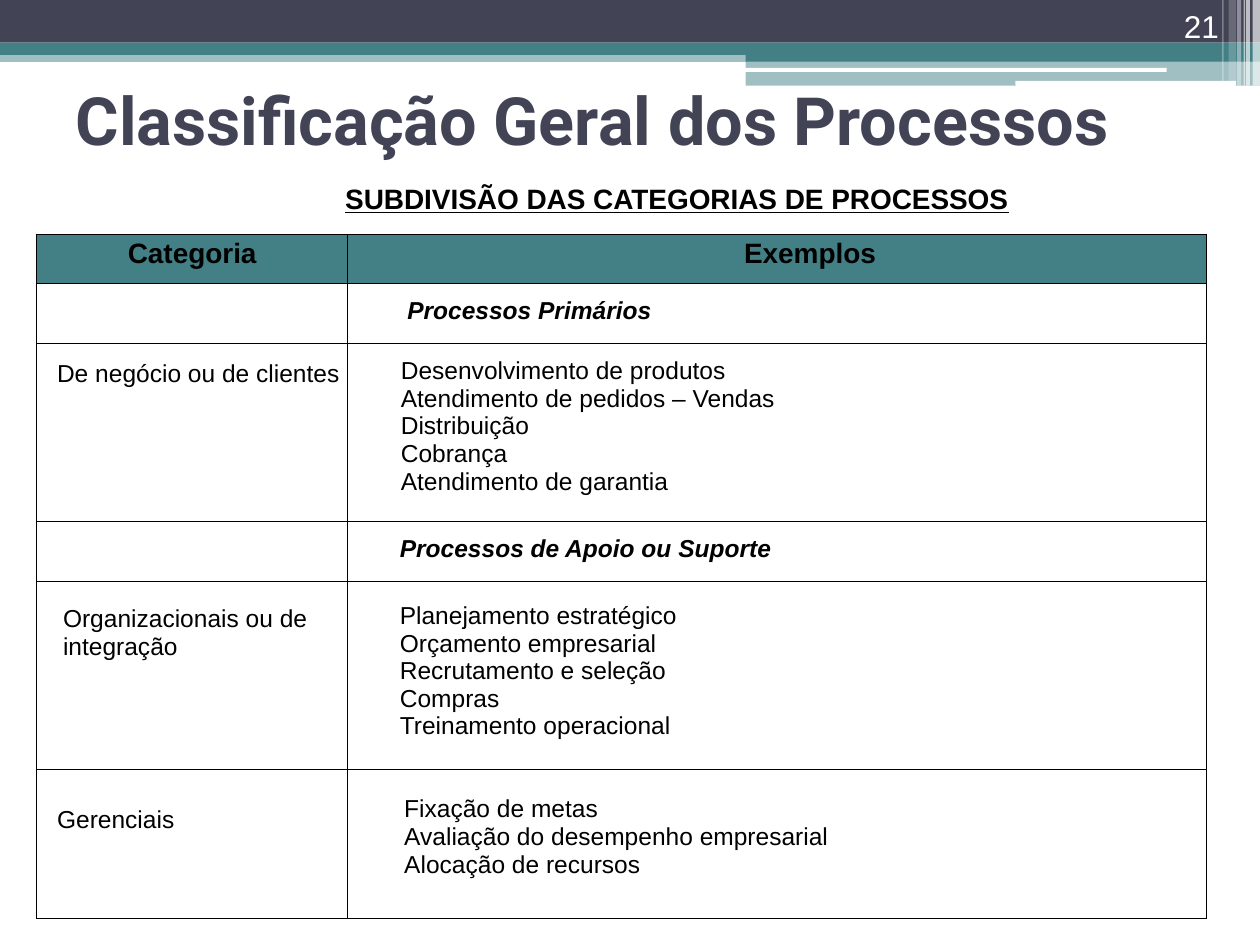
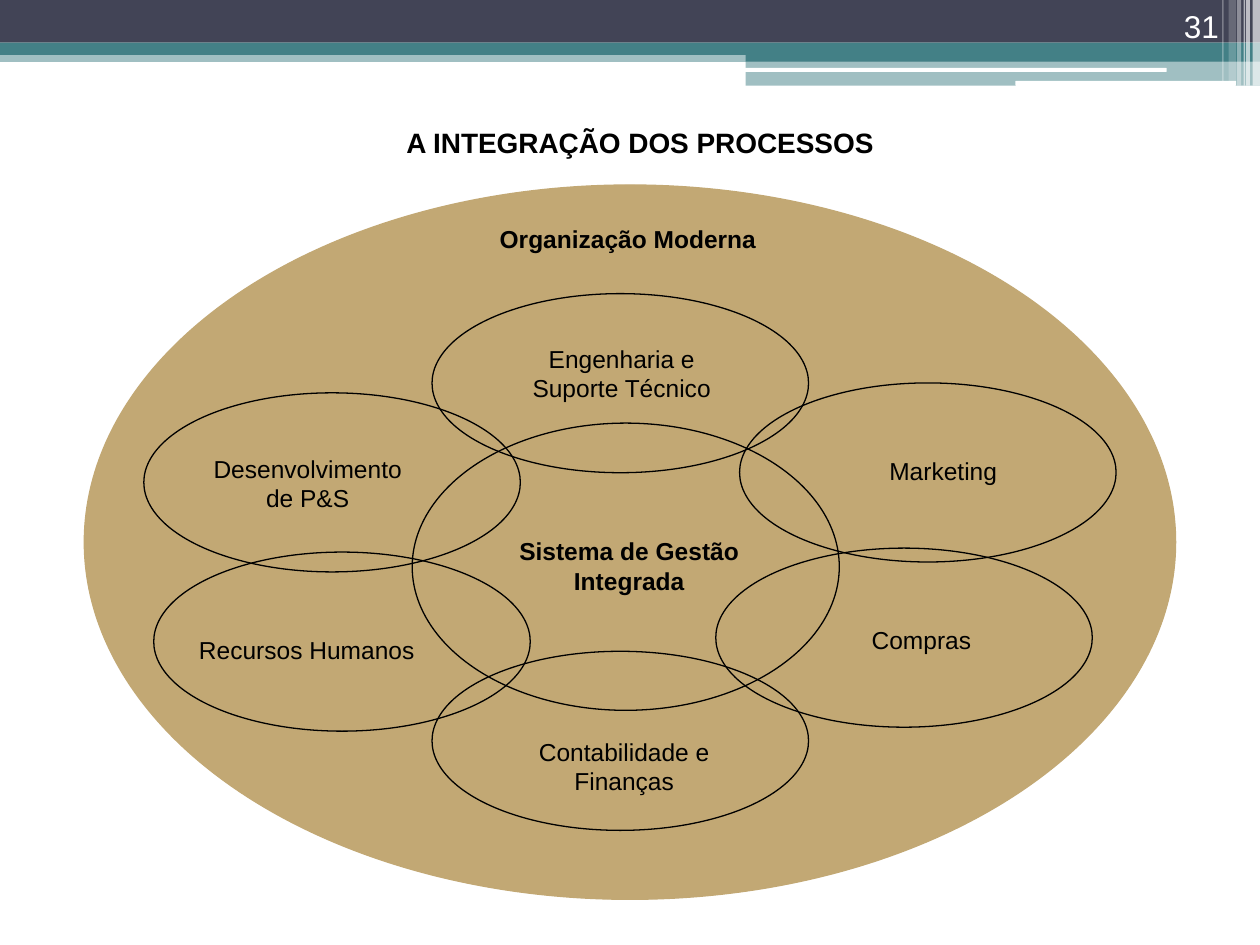
from dataclasses import dataclass

from lxml.etree import SubElement
from pptx import Presentation
from pptx.dml.color import RGBColor as RGB
from pptx.enum.shapes import MSO_SHAPE as Kind
from pptx.enum.text import MSO_ANCHOR as Anchor, MSO_AUTO_SIZE as Fit, PP_ALIGN as Align
from pptx.oxml.ns import qn
from pptx.util import Cm, Pt


@dataclass(frozen=True)
class Theme:
    dark: str = "424456"
    teal: str = "438086"
    tan: str = "C2A874"
    white: str = "FFFFFF"
    black: str = "000000"
    font: str = "Arial"
    head: str = "Roboto"
    title: int = 38
    page: int = 18
    sub: int = 16
    text: int = 14
    line: float = 0.75


T = Theme()

# Top bands: left, top, width, height, colour, opacity in percent
BANDS = [
    (0, 1.02, 25.4, 0.23, T.teal, 50),
    (0, 0, 25.4, 0.86, T.dark, 100),
    (0, 0.86, 25.4, 0.25, T.teal, 100),
    (15.03, 0.99, 10.37, 0.25, T.teal, 100),
    (15.03, 1.23, 10.37, 0.5, T.teal, 50),
]
BARS = [(15.01, 1.37, 8.51, 0.08), (20.47, 1.63, 4.45, 0.1)]

# Right stripes: left, width, height, opacity in percent
STRIPES = [
    (25.25, 0.15, 1.73, 65),
    (25.12, 0.08, 1.73, 65),
    (25.07, 0.03, 1.73, 60),
    (24.94, 0.08, 1.73, 40),
    (24.77, 0.15, 1.63, 20),
    (24.64, 0.03, 1.63, 30),
]

# Table rows: height, then (text, left margin, top margin) for each column
ROWS = [
    (0.99, ("Categoria", 0, 0.08), ("Exemplos", 1.32, 0.08)),
    (1.22, ("", 0.41, 0.28), ("Processos Primários", 1.2, 0.28)),
    (3.58, ("De negócio ou de clientes", 0.41, 0.33),
     ("Desenvolvimento de produtos\nAtendimento de pedidos – Vendas\n"
      "Distribuição\nCobrança\nAtendimento de garantia", 1.07, 0.28)),
    (1.22, ("", 0.41, 0.28), ("Processos de Apoio ou Suporte", 1.05, 0.28)),
    (3.78, ("Organizacionais ou de integração", 0.53, 0.48),
     ("Planejamento estratégico\nOrçamento empresarial\n"
      "Recrutamento e seleção\nCompras\nTreinamento operacional", 1.05, 0.41)),
    (3, ("Gerenciais", 0.41, 0.74),
     ("Fixação de metas\nAvaliação do desempenho empresarial\n"
      "Alocação de recursos", 1.14, 0.53)),
]
GROUPS = (1, 3)

# Areas: text, ellipse left and top, label left and top
AREAS = [
    ("Engenharia e Suporte Técnico", 8.71, 5.92, 10.06, 6.81),
    ("Contabilidade e Finanças", 8.71, 13.13, 10.11, 14.73),
    ("Marketing", 14.91, 7.72, 16.54, 9.07),
    ("Compras", 14.43, 11.05, 16.1, 12.47),
    ("Desenvolvimento de P&S", 2.9, 7.92, 3.73, 9.02),
    ("Recursos Humanos", 3.1, 11.13, 3.71, 12.67),
]


class Deck:
    def __init__(self):
        self.prs = Presentation()
        self.prs.slide_width, self.prs.slide_height = Cm(25.4), Cm(19.05)
        self.slide = None

    def page(self, num):
        """Start a slide with the shared bands and its number."""
        self.slide = self.prs.slides.add_slide(self.prs.slide_layouts[5])
        for *box, fill, alpha in BANDS:
            self.shape(Kind.RECTANGLE, box, fill, alpha=alpha)
        for box in BARS:
            self.shape(Kind.ROUNDED_RECTANGLE, box, T.white)
        for left, wide, high, alpha in STRIPES:
            self.shape(Kind.RECTANGLE, (left, 0, wide, high), T.white, alpha=alpha)
        self.label(num, (22.71, 0, 2.11, 1.02), T.page, T.white,
                   align=Align.RIGHT, anchor=Anchor.BOTTOM)

    def shape(self, kind, box, fill=None, line=None, alpha=100):
        shape = self.slide.shapes.add_shape(kind, *map(Cm, box))
        shape.shadow.inherit = False
        if fill:
            shape.fill.solid()
            shape.fill.fore_color.rgb = RGB.from_string(fill)
        else:
            shape.fill.background()
        if alpha < 100:
            color = shape.element.spPr.find(".//" + qn("a:srgbClr"))
            SubElement(color, qn("a:alpha"), val=str(alpha * 1000))
        if line:
            shape.line.color.rgb = RGB.from_string(line)
            shape.line.width = Pt(T.line)
        else:
            shape.line.fill.background()

    def style(self, frame, text, size, color=T.black, align=Align.LEFT,
              name=T.font, bold=False, italic=False, under=False):
        frame.text = text
        frame.word_wrap = True
        for para in frame.paragraphs:
            para.alignment = align
            font = para.font
            font.name, font.size = name, Pt(size)
            font.bold, font.italic, font.underline = bold, italic, under
            font.color.rgb = RGB.from_string(color)

    def label(self, text, box, size=T.text, color=T.black,
              align=Align.CENTER, anchor=Anchor.TOP, **look):
        frame = self.slide.shapes.add_textbox(*map(Cm, box)).text_frame
        frame.vertical_anchor = anchor
        self.style(frame, text, size, color, align, **look)

    def title(self, text, box, size, **look):
        shape = self.slide.shapes.title
        shape.left, shape.top, shape.width, shape.height = map(Cm, box)
        frame = shape.text_frame
        frame.auto_size = Fit.NONE
        frame.vertical_anchor = Anchor.MIDDLE
        self.style(frame, text, size, bold=True, **look)

    def cell(self, cell, item, head, group):
        text, left, top = item
        cell.margin_left, cell.margin_top = Cm(left), Cm(top)
        cell.margin_right = cell.margin_bottom = 0
        cell.vertical_anchor = Anchor.TOP
        # Borders come before the fill in the cell properties
        props = cell._tc.get_or_add_tcPr()
        for side in ("lnL", "lnR", "lnT", "lnB"):
            edge = SubElement(props, qn("a:" + side), w=str(Pt(T.line)))
            fill = SubElement(edge, qn("a:solidFill"))
            SubElement(fill, qn("a:srgbClr"), val=T.black)
        if head:
            cell.fill.solid()
            cell.fill.fore_color.rgb = RGB.from_string(T.teal)
        else:
            cell.fill.background()
        self.style(cell.text_frame, text, T.sub if head else T.text,
                   align=Align.CENTER if head else Align.LEFT,
                   bold=head or group, italic=group)

    def table(self, rows, left, top, widths):
        high = sum(row[0] for row in rows)
        box = map(Cm, (left, top, sum(widths), high))
        table = self.slide.shapes.add_table(len(rows), len(widths), *box).table
        table.first_row = table.horz_banding = False
        for col, wide in zip(table.columns, widths):
            col.width = Cm(wide)
        for r, (high, *items) in enumerate(rows):
            table.rows[r].height = Cm(high)
            for c, item in enumerate(items):
                self.cell(table.cell(r, c), item, r == 0, r in GROUPS)


def main():
    deck = Deck()

    # Process categories
    deck.page("21")
    deck.title("Classificação Geral dos Processos", (1.27, 1.27, 22.86, 2.26),
               T.title, color=T.dark, name=T.head)
    deck.label("SUBDIVISÃO DAS CATEGORIAS DE PROCESSOS", (6.71, 3.53, 14.5, 0.94),
               T.sub, align=Align.LEFT, bold=True, under=True)
    deck.table(ROWS, 0.74, 4.72, (6.27, 17.32))

    # Process integration
    deck.page("31")
    deck.title("A INTEGRAÇÃO DOS PROCESSOS", (6.35, 2.39, 13.11, 0.94),
               T.sub, align=Align.CENTER)
    deck.shape(Kind.OVAL, (1.7, 3.73, 22, 14.4), T.tan, T.tan)
    deck.label("Organização Moderna", (9.66, 4.39, 6, 0.86), bold=True)
    deck.shape(Kind.OVAL, (8.31, 8.53, 8.61, 5.79), line=T.black)
    deck.label("Sistema de Gestão Integrada", (10.21, 10.69, 4.95, 1.45), bold=True)
    for text, left, top, x, y in AREAS:
        deck.shape(Kind.OVAL, (left, top, 7.59, 3.61), line=T.black)
        deck.label(text, (x, y, 4.95, 1.45))

    deck.prs.save("out.pptx")


if __name__ == "__main__":
    main()
